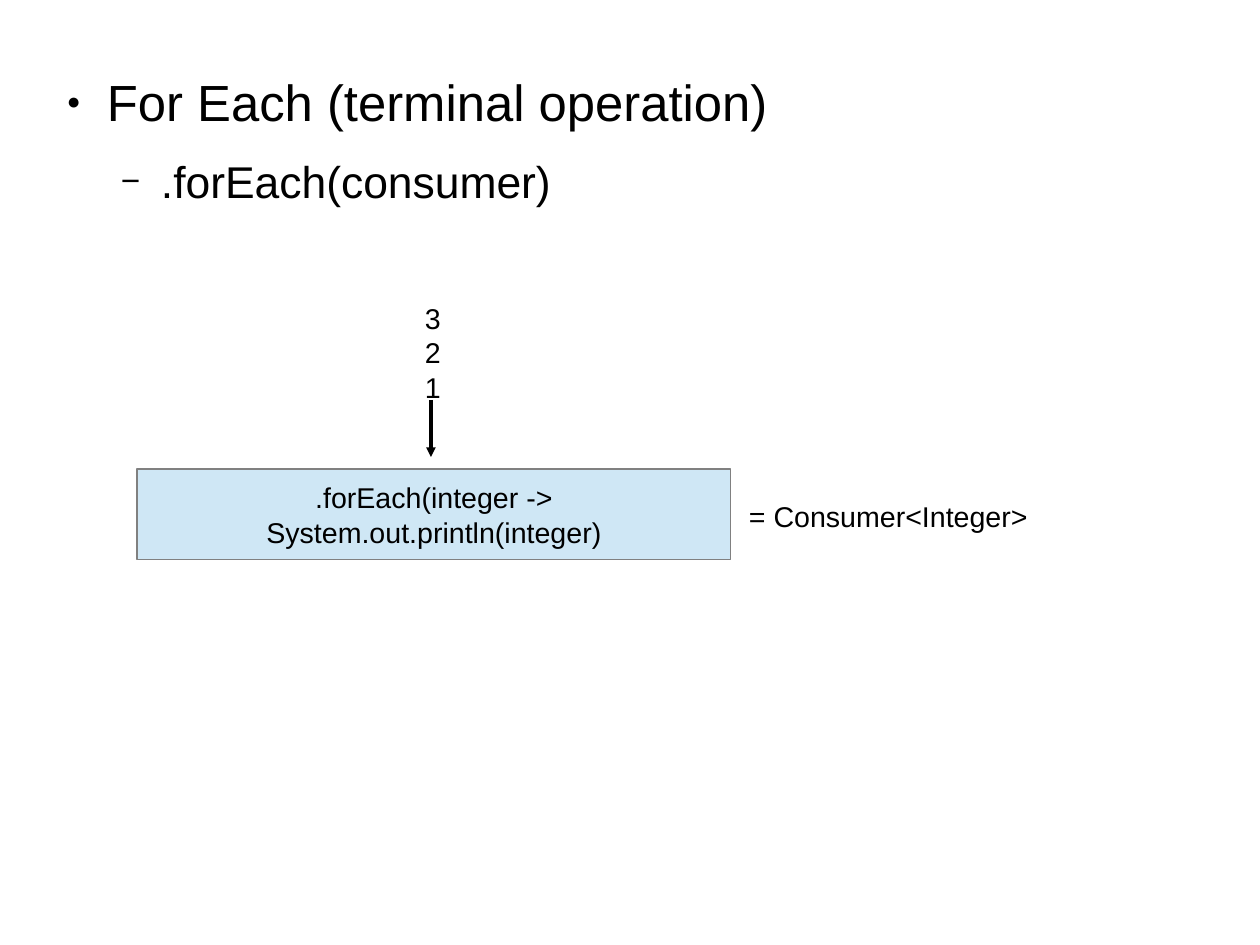
from lxml.etree import SubElement as Sub
from pptx import Presentation
from pptx.dml.color import RGBColor as Rgb
from pptx.enum.shapes import MSO_CONNECTOR as Conn, MSO_SHAPE as Kind
from pptx.enum.text import MSO_ANCHOR as Anchor, PP_ALIGN as Align
from pptx.oxml.ns import qn
from pptx.util import Pt

PX = 8000
HUES = {"ink": "000000", "fill": "CFE7F5", "edge": "808080"}
FONT = "Arial"


def hue(name):
    return Rgb.from_string(HUES[name])


def px(*sizes):
    return [size * PX for size in sizes]


def style(para, size):
    for run in para.runs:
        run.font.name = FONT
        run.font.size = Pt(size)
        run.font.color.rgb = hue("ink")


def inset(frame, left, top, right, low):
    frame.margin_left, frame.margin_top, frame.margin_right, frame.margin_bottom = px(
        left, top, right, low)


def label(slide, box, lines, left=11, wrap=True):
    frame = slide.shapes.add_textbox(*px(*box)).text_frame
    frame.word_wrap = wrap
    inset(frame, left, 6, 11, 6)
    frame.text = "\n".join(lines)
    for para in frame.paragraphs:
        style(para, 18)


def bullet(para, level, mark, scale):
    para.level = level
    props = para._p.get_or_add_pPr()
    props.set("marL", str(54 * (level + 1) * PX))
    props.set("indent", str(-40 * PX))
    color = Sub(props, qn("a:buClr"))
    Sub(color, qn("a:srgbClr"), val=HUES["ink"])
    Sub(props, qn("a:buSzPct"), val=str(scale * 1000))
    Sub(props, qn("a:buFont"), typeface=FONT)
    Sub(props, qn("a:buChar"), char=mark)


def outline(slide, x, y, w, h):
    frame = slide.shapes.add_textbox(*px(x, y, w, h)).text_frame
    frame.word_wrap = True
    inset(frame, 0, 0, 0, 0)
    items = [
        ("For Each (terminal operation)", 32, 14.1, "●", 45),
        (".forEach(consumer)", 28, 11.3, "−", 75),
    ]
    frame.text = "\n".join(item[0] for item in items)
    for level, (para, item) in enumerate(zip(frame.paragraphs, items)):
        _, size, gap, mark, scale = item
        para.space_after = Pt(gap)
        bullet(para, level, mark, scale)
        style(para, size)


def arrow(slide, x, top, low):
    line = slide.shapes.add_connector(Conn.STRAIGHT, *px(x, top, x, low))
    line.line.color.rgb = hue("ink")
    line.line.width = Pt(0)
    Sub(line.line._get_or_add_ln(), qn("a:tailEnd"), type="triangle")
    Sub(line._element.spPr, qn("a:effectLst"))


def stage(slide, x, y, w, h):
    rect = slide.shapes.add_shape(Kind.RECTANGLE, *px(x, y, w, h))
    rect.shadow.inherit = False
    rect.fill.solid()
    rect.fill.fore_color.rgb = hue("fill")
    rect.line.color.rgb = hue("edge")
    rect.line.width = Pt(0)
    frame = rect.text_frame
    frame.word_wrap = True
    frame.vertical_anchor = Anchor.MIDDLE
    inset(frame, 11, 6, 11, 6)
    frame.text = ".forEach(integer -> System.out.println(integer)"
    para = frame.paragraphs[0]
    para.alignment = Align.CENTER
    style(para, 18)


def flow(slide, x, y, w, h):
    stage(slide, x, y + h - 91, 594, 91)
    label(slide, (x + 253, y, 110, 107), ["3", "2", "1"], left=35)
    arrow(slide, x + 294, y + 105, y + 162)
    label(slide, (x + w - 302, y + h - 67, 302, 43), ["= Consumer<Integer>"], wrap=False)


def main():
    deck = Presentation()
    deck.slide_width, deck.slide_height = px(1260, 945)
    slide = deck.slides.add_slide(deck.slide_layouts[6])
    outline(slide, 53, 71, 965, 203)
    flow(slide, 137, 295, 903, 265)
    deck.save("out.pptx")


if __name__ == "__main__":
    main()
